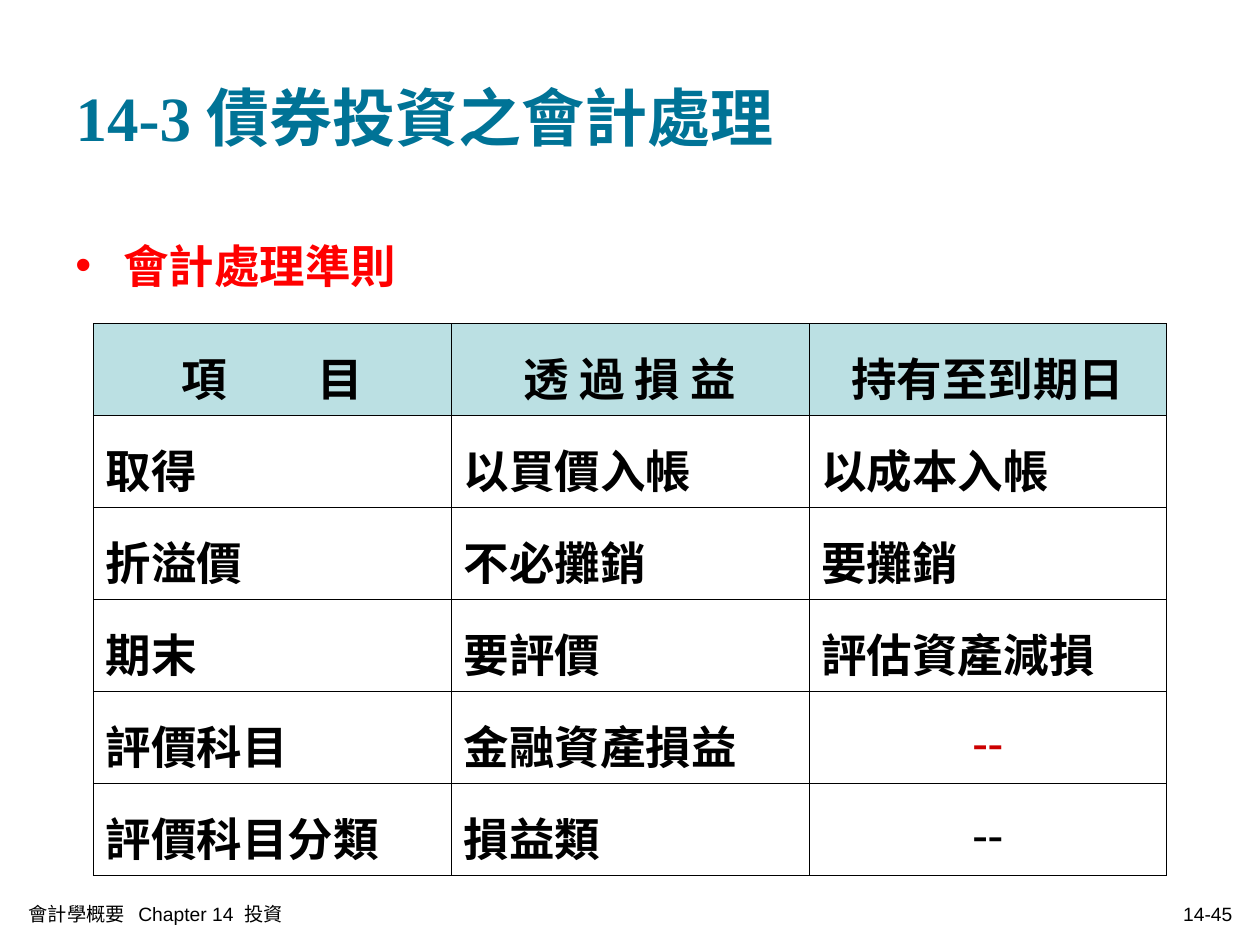
from dataclasses import dataclass

from lxml.etree import SubElement
from pptx import Presentation
from pptx.dml.color import RGBColor
from pptx.enum.text import MSO_ANCHOR, PP_ALIGN
from pptx.oxml.ns import qn
from pptx.util import Inches, Pt


@dataclass(frozen=True)
class Theme:
    teal: str = "007396"
    red: str = "FF0000"
    dark_red: str = "CC0000"
    black: str = "000000"
    white: str = "FFFFFF"
    header_fill: str = "BBE0E3"
    serif: str = "Times New Roman"
    sans: str = "Arial"
    title_size: float = 36
    body_size: float = 26
    footer_size: float = 11
    bottom_line: float = 1.08
    thin_line: float = 0.45


theme = Theme()


def write(frame, text, size=theme.body_size, color=theme.black, font=theme.serif,
          bold=True, align=PP_ALIGN.LEFT, anchor=MSO_ANCHOR.MIDDLE):
    """Add a formatted run to the first paragraph of a text frame and return that paragraph."""
    frame.word_wrap = True
    frame.vertical_anchor = anchor
    para = frame.paragraphs[0]
    para.alignment = align
    span = para.add_run()
    span.text = text
    span.font.size = Pt(size)
    span.font.name = font
    span.font.bold = bold
    span.font.color.rgb = RGBColor.from_string(color)
    return para


def add_border(cell, side, width):
    line = SubElement(cell._tc.get_or_add_tcPr(), qn(f"a:ln{side}"), w=str(Pt(width)))
    fill = SubElement(line, qn("a:solidFill"))
    SubElement(fill, qn("a:srgbClr"), val=theme.black)


deck = Presentation()
deck.slide_width, deck.slide_height = Inches(10), Inches(7.5)
page = deck.slides.add_slide(deck.slide_layouts[5])

# Title
title = page.shapes.title
title.left, title.top = Inches(0.5), Inches(0.3)
title.width, title.height = Inches(9), Inches(1.25)
write(title.text_frame, "14-3 債券投資之會計處理", size=theme.title_size, color=theme.teal)

# Bulleted heading
heading = page.shapes.add_textbox(Inches(0.5), Inches(1.75), Inches(9), Inches(4.95))
para = write(heading.text_frame, "會計處理準則", color=theme.red, anchor=MSO_ANCHOR.TOP)
para.line_spacing = 1.2
properties = para._p.get_or_add_pPr()
properties.set("marL", str(Inches(0.38)))
properties.set("indent", str(-Inches(0.38)))
bullet_color = SubElement(properties, qn("a:buClr"))
SubElement(bullet_color, qn("a:srgbClr"), val=theme.red)
SubElement(properties, qn("a:buFont"), typeface=theme.sans)
SubElement(properties, qn("a:buChar"), char="•")

# Footer
for left, width, text, align in [
    (0.13, 5.1, "會計學概要   Chapter 14  投資", PP_ALIGN.LEFT),
    (6.8, 3.08, "14-45", PP_ALIGN.RIGHT),
]:
    box = page.shapes.add_textbox(Inches(left), Inches(7.09), Inches(width), Inches(0.33))
    write(box.text_frame, text, size=theme.footer_size, font=theme.sans,
          bold=False, align=align)

# Comparison table
rows = [
    ("項 目", "透 過 損 益", "持有至到期日"),
    ("取得", "以買價入帳", "以成本入帳"),
    ("折溢價", "不必攤銷", "要攤銷"),
    ("期末", "要評價", "評估資產減損"),
    ("評價科目", "金融資產損益", "--"),
    ("評價科目分類", "損益類", "--"),
]
last_row = len(rows) - 1
row_height = Inches(0.73)
table = page.shapes.add_table(len(rows), len(rows[0]), Inches(0.74), Inches(2.57),
                              Inches(8.52), row_height * len(rows)).table
table.first_row = table.horz_banding = False

for r, row in enumerate(rows):
    for c, text in enumerate(row):
        cell = table.cell(r, c)
        centred = r == 0 or text == "--"
        # The first header is spread by widening the space between its characters
        for part in text if (r, c) == (0, 0) else [text]:
            para = write(cell.text_frame, part,
                         color=theme.dark_red if (r, c) == (4, 2) else theme.black,
                         align=PP_ALIGN.CENTER if centred else PP_ALIGN.LEFT)
            if part == " ":
                para.runs[-1].font._element.set("spc", str(4600))
        para.line_spacing = 1.2
        para.space_before = Pt(6.5)
        cell.vertical_anchor = MSO_ANCHOR.MIDDLE
        for side in "LRTB":
            at_bottom = side == "B" and r == last_row
            add_border(cell, side, theme.bottom_line if at_bottom else theme.thin_line)
        cell.fill.solid()
        cell.fill.fore_color.rgb = RGBColor.from_string(
            theme.header_fill if r == 0 else theme.white)

deck.save("out.pptx")
